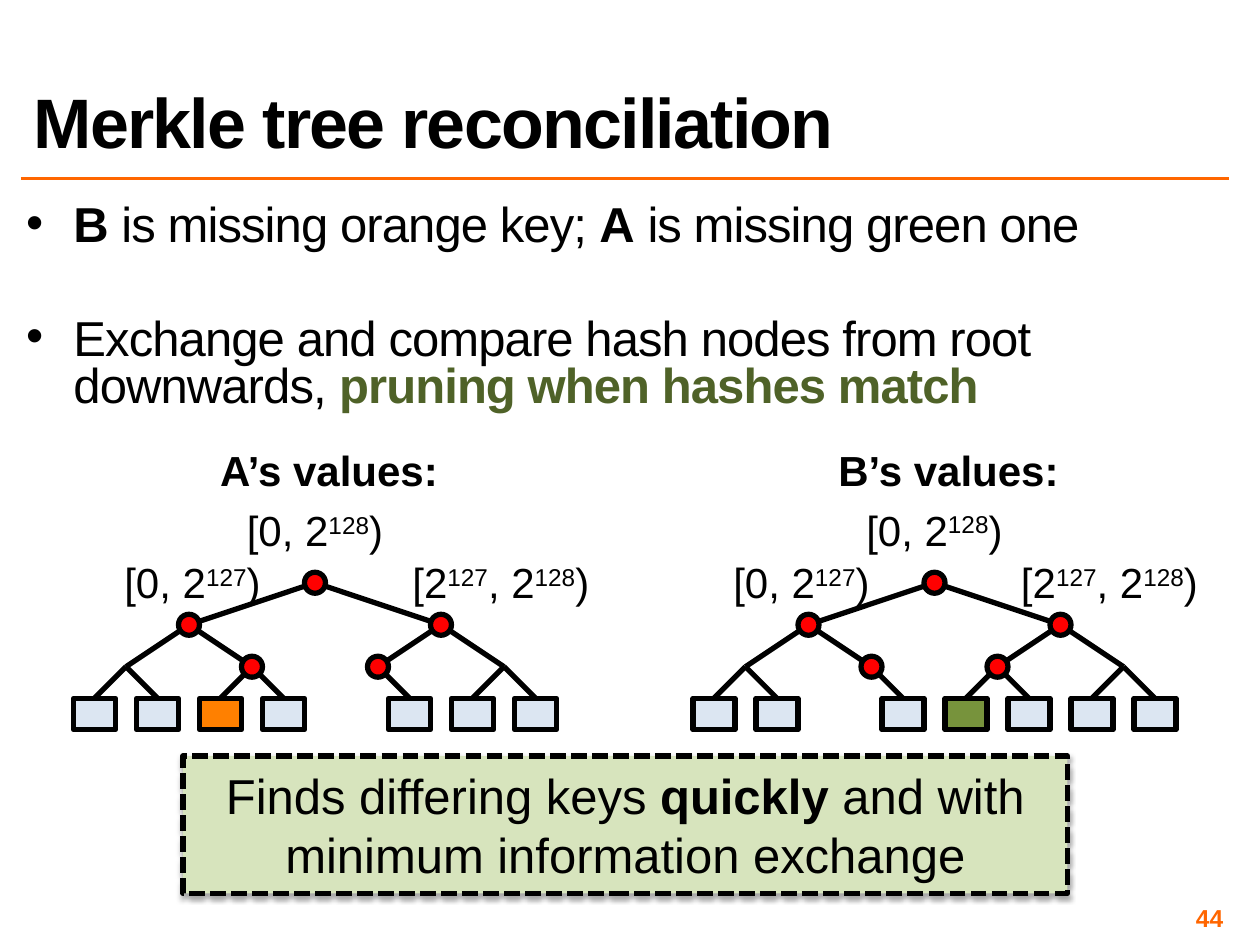
from lxml import etree
from pptx import Presentation
from pptx.dml.color import RGBColor
from pptx.enum.dml import MSO_LINE
from pptx.enum.shapes import MSO_CONNECTOR, MSO_SHAPE
from pptx.enum.text import MSO_ANCHOR, PP_ALIGN
from pptx.oxml import parse_xml
from pptx.oxml.ns import nsdecls, qn
from pptx.util import Pt

BLACK = RGBColor(0x00, 0x00, 0x00)
ORANGE_RULE = RGBColor(0xFF, 0x66, 0x00)
ORANGE_KEY = RGBColor(0xFF, 0x80, 0x00)
GREEN_KEY = RGBColor(0x77, 0x93, 0x3C)
GREEN_TEXT = RGBColor(0x4F, 0x62, 0x28)
PALE_GREEN = RGBColor(0xD7, 0xE4, 0xBD)
PALE_BLUE = RGBColor(0xDC, 0xE6, 0xF2)
RED = RGBColor(0xFF, 0x00, 0x00)

# Content: each run is (text, options)
BOLD = {"bold": True}
SUPER = {"superscript": True}
TITLE = "Merkle tree reconciliation"
BULLETS = [
    [("B", BOLD), (" is missing orange key; ", {}), ("A", BOLD),
     (" is missing green one", {})],
    [("Exchange and compare hash nodes from root downwards, ", {}),
     ("pruning when hashes match", {"bold": True, "color": GREEN_TEXT})],
]
CONCLUSION = [("Finds differing keys ", {}), ("quickly", BOLD),
              (" and with minimum information exchange", {})]
PAGE_NUMBER = "44"
FULL_RANGE = [("[0, 2", {}), ("128", SUPER), (")", {})]
LOW_RANGE = [("[0, 2", {}), ("127", SUPER), (")", {})]
HIGH_RANGE = [("[2", {}), ("127", SUPER), (", 2", {}), ("128", SUPER), (")", {})]

# left is the centre of leaf 0; labels are (runs, centre x, top)
TREES = [
    {"heading": "A’s values:", "left": 54, "missing": 4, "key": (2, ORANGE_KEY),
     "labels": [(FULL_RANGE, 180, 285), (LOW_RANGE, 110, 314.6),
                (HIGH_RANGE, 286.2, 314.6)]},
    {"heading": "B’s values:", "left": 408, "missing": 2, "key": (4, GREEN_KEY),
     "labels": [(FULL_RANGE, 534, 284.6), (LOW_RANGE, 458, 314.6),
                (HIGH_RANGE, 634, 314.6)]},
]

# Tree geometry; level 0 holds the leaves and level 3 the root
LEVEL_TOPS = [399, 381, 357, 333]
LEAF_COUNT, LEAF_STEP, LEAF_WIDTH, LEAF_HEIGHT = 8, 36, 24, 18
COMPARED_NODES = [(3, 0), (2, 0), (2, 1), (1, 1), (1, 2)]
NODE_SIZE = 12


def add_runs(paragraph, runs, size, spacing=None):
    for text, options in runs:
        run = paragraph.add_run()
        run.text = text
        font = run.font
        font.name, font.size = "Arial", Pt(size)
        font.bold = options.get("bold", False)
        font.color.rgb = options.get("color", BLACK)
        properties = run._r.get_or_add_rPr()
        if spacing:
            properties.set("spc", str(spacing))
        if options.get("superscript"):
            properties.set("baseline", "30000")


def add_text_box(slide, left, top, width, height, inset=None):
    frame = slide.shapes.add_textbox(Pt(left), Pt(top), Pt(width), Pt(height)).text_frame
    frame.word_wrap = True
    if inset is not None:
        frame.margin_left = frame.margin_right = Pt(inset)
        frame.margin_top = frame.margin_bottom = Pt(inset)
    return frame


def add_label(slide, runs, center, top):
    width = 144
    frame = add_text_box(slide, center - width / 2, top, width, 36)
    frame.word_wrap = False
    paragraph = frame.paragraphs[0]
    paragraph.alignment = PP_ALIGN.CENTER
    add_runs(paragraph, runs, 24)


def add_outlined(slide, kind, left, top, width, height, fill):
    shape = slide.shapes.add_shape(kind, Pt(left), Pt(top), Pt(width), Pt(height))
    shape.shadow.inherit = False
    shape.fill.solid()
    shape.fill.fore_color.rgb = fill
    shape.line.color.rgb = BLACK
    shape.line.width = Pt(3)
    return shape


def add_line(slide, start, end, color, width):
    line = slide.shapes.add_connector(
        MSO_CONNECTOR.STRAIGHT, *(Pt(value) for value in (*start, *end)))
    line.line.color.rgb = color
    line.line.width = Pt(width)
    etree.SubElement(line._element.spPr, qn("a:effectLst"))


def node_center(left, level, index):
    return left + LEAF_STEP * (2 ** level * (index + 0.5) - 0.5), LEVEL_TOPS[level]


def add_tree(slide, tree):
    left = tree["left"]
    key_index, key_color = tree["key"]
    root_x, _ = node_center(left, 3, 0)
    # Leaves
    for index in range(LEAF_COUNT):
        if index != tree["missing"]:
            x, y = node_center(left, 0, index)
            add_outlined(slide, MSO_SHAPE.RECTANGLE, x - LEAF_WIDTH / 2, y, LEAF_WIDTH,
                         LEAF_HEIGHT, key_color if index == key_index else PALE_BLUE)
    # Branches from each node to its parent
    for level in range(3):
        for index in range(LEAF_COUNT // 2 ** level):
            if (level, index) != (0, tree["missing"]):
                add_line(slide, node_center(left, level, index),
                         node_center(left, level + 1, index // 2), BLACK, 3)
    # Heading and key ranges
    add_label(slide, [(tree["heading"], BOLD)], root_x + 8, 250.6)
    for runs, center, top in tree["labels"]:
        add_label(slide, runs, center, top)
    # Compared hash nodes
    for level, index in COMPARED_NODES:
        x, y = node_center(left, level, index)
        add_outlined(slide, MSO_SHAPE.OVAL, x - NODE_SIZE / 2, y - NODE_SIZE / 2,
                     NODE_SIZE, NODE_SIZE, RED)


def add_title(slide):
    title = slide.shapes.title
    title.left, title.top, title.width, title.height = Pt(12), Pt(12), Pt(690), Pt(84)
    title.text_frame.vertical_anchor = MSO_ANCHOR.BOTTOM
    paragraph = title.text_frame.paragraphs[0]
    paragraph.alignment = PP_ALIGN.LEFT
    paragraph.line_spacing = 0.8
    add_runs(paragraph, [(TITLE, BOLD)], 40, -100)
    add_line(slide, (12, 102), (702, 102), ORANGE_RULE, 2)


def add_bullets(slide):
    frame = add_text_box(slide, 12, 114, 690, 131, 3)
    for number, runs in enumerate(BULLETS):
        paragraph = frame.add_paragraph() if number else frame.paragraphs[0]
        properties = paragraph._p.get_or_add_pPr()
        properties.set("marL", str(Pt(27)))
        properties.set("indent", str(Pt(-27)))
        etree.SubElement(properties, qn("a:buFont")).set("typeface", "Arial")
        etree.SubElement(properties, qn("a:buChar")).set("char", "•")
        paragraph.line_spacing = 0.8
        paragraph.space_before = Pt(38 if number else 0)
        add_runs(paragraph, runs, 28, -50)


def add_conclusion(slide):
    box = add_outlined(slide, MSO_SHAPE.RECTANGLE, 104.5, 432, 505.5, 78.5, PALE_GREEN)
    box.line.dash_style = MSO_LINE.SQUARE_DOT
    effects = box._element.spPr.find(qn("a:effectLst"))
    effects.append(parse_xml(
        f'<a:outerShdw {nsdecls("a")} blurRad="{Pt(3.1)}" dist="{Pt(1.8)}" '
        'dir="5400000" rotWithShape="0"><a:srgbClr val="000000">'
        '<a:alpha val="35000"/></a:srgbClr></a:outerShdw>'))
    box.text_frame.word_wrap = True
    box.text_frame.vertical_anchor = MSO_ANCHOR.MIDDLE
    paragraph = box.text_frame.paragraphs[0]
    paragraph.alignment = PP_ALIGN.CENTER
    add_runs(paragraph, CONCLUSION, 28)


def add_page_number(slide):
    frame = add_text_box(slide, 534, 516, 168, 17, 3)
    frame.vertical_anchor = MSO_ANCHOR.MIDDLE
    paragraph = frame.paragraphs[0]
    paragraph.alignment = PP_ALIGN.RIGHT
    add_runs(paragraph, [(PAGE_NUMBER, {"bold": True, "color": ORANGE_RULE})], 14)


def main():
    presentation = Presentation()
    presentation.slide_width, presentation.slide_height = Pt(720), Pt(540)
    slide = presentation.slides.add_slide(presentation.slide_layouts[5])
    add_title(slide)
    add_bullets(slide)
    for tree in TREES:
        add_tree(slide, tree)
    add_conclusion(slide)
    add_page_number(slide)
    presentation.save("out.pptx")


if __name__ == "__main__":
    main()
